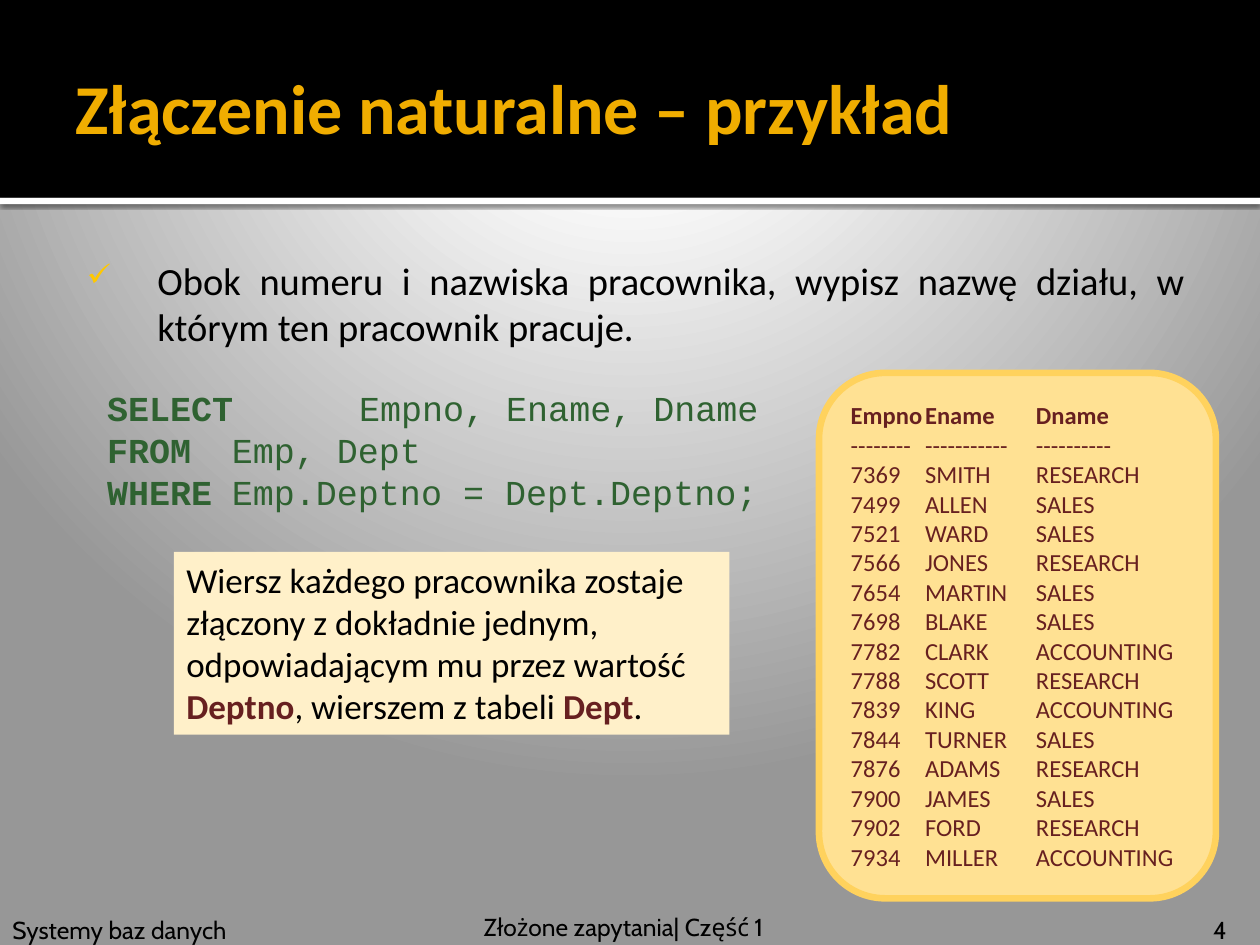
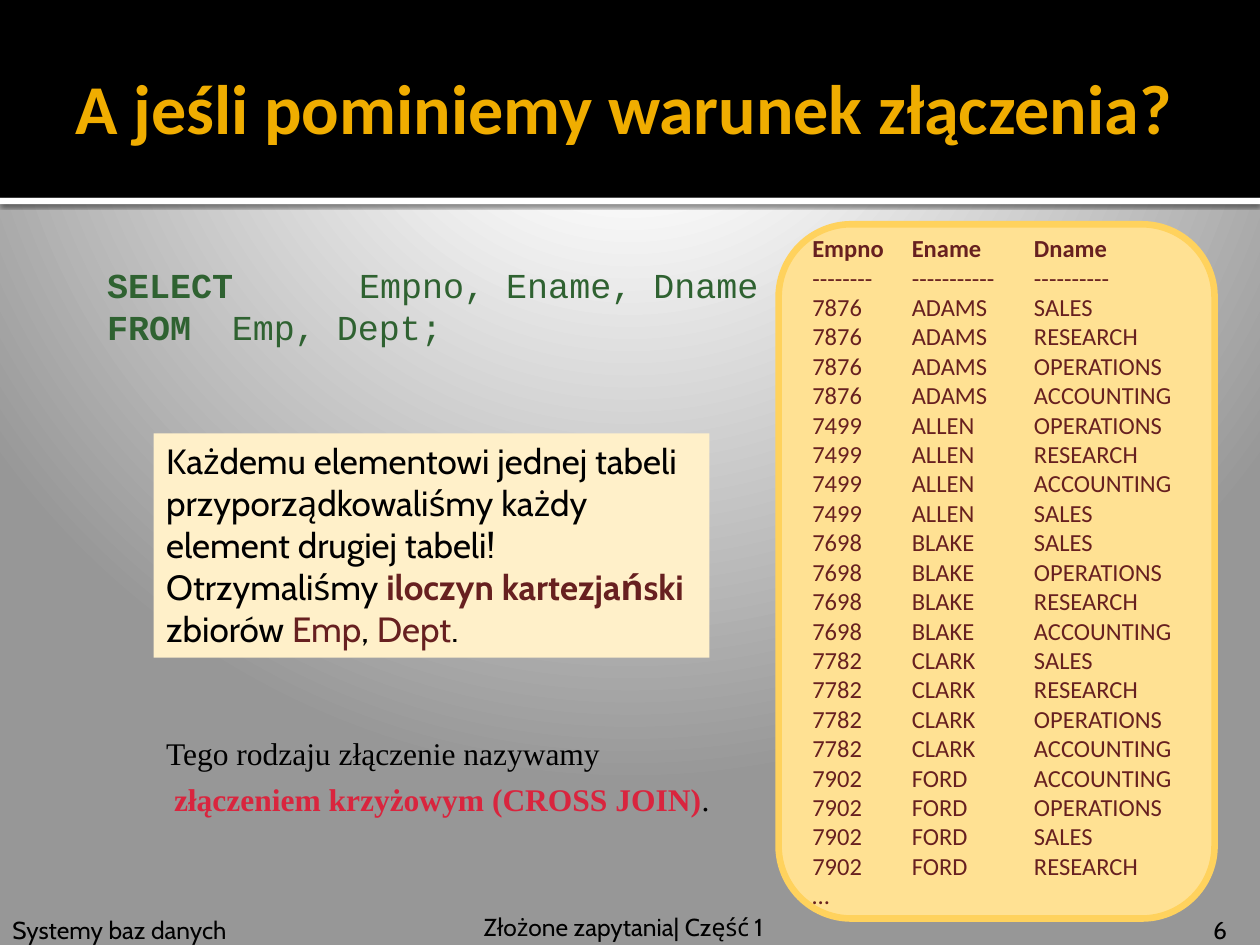
"""Build two Polish database slides on natural joins and cross joins."""
from pptx import Presentation
from pptx.dml.color import RGBColor
from pptx.enum.shapes import MSO_SHAPE as Shape
from pptx.enum.text import MSO_ANCHOR as Anchor, PP_ALIGN as Align
from pptx.oxml import parse_xml
from pptx.oxml.ns import nsdecls
from pptx.util import Inches, Pt

BLACK, WHITE, GOLD = "000000", "FFFFFF", "F0AD00"
GREEN, MAROON, RED = "2F6231", "672020", "D9253E"
CARD_FILL, CARD_LINE, NOTE_FILL = "FFE193", "FFD25D", "FFF0C9"
BODY, FOOTER, CODE, SERIF = "Calibri", "Cabin", "Courier New", "Times New Roman"

presentation = Presentation()
presentation.slide_width, presentation.slide_height = Inches(10), Inches(7.5)
CELL = presentation.slide_width // 100


def add_box(slide, area, preset=None, fill=None, line=None, anchor=Anchor.TOP):
    """Add a text box or preset shape; area is counted in grid cells."""
    area = [round(length * CELL) for length in area]
    if preset is None:
        shape = slide.shapes.add_textbox(*area)
    else:
        shape = slide.shapes.add_shape(preset, *area)
        shape.shadow.inherit = False
        shape.fill.solid()
        shape.fill.fore_color.rgb = RGBColor.from_string(fill)
        if line:
            shape.line.color.rgb = RGBColor.from_string(line)
            shape.line.width = Pt(3.78)
        else:
            shape.line.fill.background()
    shape.text_frame.word_wrap = True
    shape.text_frame.vertical_anchor = anchor
    return shape


def write(paragraph, pieces, size, font, tabs=()):
    """Write (text, colour, bold) pieces and set the left tab stops."""
    paragraph.alignment = Align.LEFT
    for text, colour, bold in pieces:
        for number, part in enumerate(text.split("\n")):
            if number:
                paragraph.add_line_break()
            if part:
                run = paragraph.add_run()
                run.text = part
                run.font.size, run.font.name, run.font.bold = Pt(size), font, bold
                run.font.color.rgb = RGBColor.from_string(colour)
    if tabs:
        stops = "".join(f'<a:tab pos="{Inches(stop)}" algn="l"/>' for stop in tabs)
        paragraph._p.get_or_add_pPr().append(
            parse_xml(f'<a:tabLst {nsdecls("a")}>{stops}</a:tabLst>'))


master = presentation.slide_master
master.background.fill.solid()
background = master.element.xpath(".//p:bgPr")[0]
stops = "".join(
    f'<a:gs pos="{share * 1000}"><a:srgbClr val="{colour}"/></a:gs>'
    for share, colour in [(0, WHITE), (20, WHITE), (100, "979797")])
background.replace(background[0], parse_xml(
    f'<a:gradFill {nsdecls("a")} rotWithShape="1"><a:gsLst>{stops}</a:gsLst>'
    '<a:path path="circle">'
    '<a:fillToRect l="10000" t="-25000" r="10000" b="125000"/>'
    '</a:path></a:gradFill>'))

join_rows = [row.split() for row in """7369 SMITH RESEARCH
7499 ALLEN SALES
7521 WARD SALES
7566 JONES RESEARCH
7654 MARTIN SALES
7698 BLAKE SALES
7782 CLARK ACCOUNTING
7788 SCOTT RESEARCH
7839 KING ACCOUNTING
7844 TURNER SALES
7876 ADAMS RESEARCH
7900 JAMES SALES
7902 FORD RESEARCH
7934 MILLER ACCOUNTING""".splitlines()]

employee_departments = [
    ("7876", "ADAMS", "SALES RESEARCH OPERATIONS ACCOUNTING"),
    ("7499", "ALLEN", "OPERATIONS RESEARCH ACCOUNTING SALES"),
    ("7698", "BLAKE", "SALES OPERATIONS RESEARCH ACCOUNTING"),
    ("7782", "CLARK", "SALES RESEARCH OPERATIONS ACCOUNTING"),
    ("7902", "FORD", "ACCOUNTING OPERATIONS SALES RESEARCH"),
]
cross_rows = [(number, name, department)
              for number, name, departments in employee_departments
              for department in departments.split()]

select = [("SELECT\t", GREEN, True), ("Empno, Ename, Dname\n", GREEN, False),
          ("FROM\t", GREEN, True)]

pages = [
    dict(number="4", title="Złączenie naturalne – przykład",
         query_top=30.7,
         query=select + [("Emp, Dept\n", GREEN, False), ("WHERE\t", GREEN, True),
                         ("Emp.Deptno = Dept.Deptno;", GREEN, False)],
         card=(65, 29.6, 31.5, 41.7), tabs=(0.59, 1.47), rows=join_rows,
         note_area=(13.8, 43.8, 44.1, 14.5), note_font=BODY,
         note=[("Wiersz każdego pracownika zostaje\nzłączony z dokładnie jednym,\n"
                "odpowiadającym mu przez wartość\n", BLACK, False),
               ("Deptno", MAROON, True), (", wierszem z tabeli ", BLACK, False),
               ("Dept", MAROON, True), (".", BLACK, False)]),
    dict(number="6", title="A jeśli pominiemy warunek złączenia?",
         query_top=20.9,
         query=select + [("Emp, Dept;", GREEN, False)],
         card=(61.8, 17.8, 34.6, 55.1), tabs=(0.79, 1.76),
         rows=cross_rows + [("…",)],
         note_area=(12.2, 34.4, 44.1, 17.8), note_font=FOOTER,
         note=[("Każdemu elementowi jednej tabeli przyporządkowaliśmy każdy "
                "element drugiej tabeli! Otrzymaliśmy ", BLACK, False),
               ("iloczyn kartezjański ", MAROON, True), ("zbiorów ", BLACK, False),
               ("Emp", MAROON, False), (", ", BLACK, False),
               ("Dept", MAROON, False), (".", BLACK, False)]),
]

slides = []
for page in pages:
    slide = presentation.slides.add_slide(presentation.slide_layouts[6])
    slides.append(slide)

    rule = add_box(slide, (0, 15.7, 100, 0.5), Shape.RECTANGLE, WHITE)
    rule.element.spPr.find(".//{*}effectLst").append(parse_xml(
        f'<a:outerShdw {nsdecls("a")} blurRad="{Pt(2.5)}" dist="{Pt(0.8)}" '
        f'dir="5400000" rotWithShape="0"><a:srgbClr val="{BLACK}">'
        '<a:alpha val="60000"/></a:srgbClr></a:outerShdw>'))
    add_box(slide, (0, 0, 100, 15.7), Shape.RECTANGLE, BLACK)

    footers = [("Systemy baz danych", (0, 72.1, 28.7, 3.4)),
               (page["number"], (95.3, 72.1, 4.7, 3.4)),
               ("Złożone zapytania| Część 1", (37.4, 71.9, 28.3, 3.4))]
    for text, area in footers:
        footer = add_box(slide, area)
        write(footer.text_frame.paragraphs[0], [(text, BLACK, False)], 14, FOOTER)

    title = add_box(slide, (5, 4.6, 90, 7.7), anchor=Anchor.MIDDLE)
    title.text_frame.margin_right = Inches(0.05)
    write(title.text_frame.paragraphs[0], [(page["title"], GOLD, True)], 40, BODY)

    query = add_box(slide, (8.5, page["query_top"], 56, 10))
    query.text_frame.margin_left = query.text_frame.margin_top = 0
    paragraph = query.text_frame.paragraphs[0]
    paragraph.line_spacing = Pt(24)
    write(paragraph, page["query"], 20, CODE, (0.99, 2))

    card = add_box(slide, page["card"], Shape.ROUNDED_RECTANGLE,
                   CARD_FILL, CARD_LINE, Anchor.MIDDLE)
    header = [("Empno", "Ename", "Dname"), ("-" * 8, "-" * 11, "-" * 10)]
    for index, row in enumerate(header + page["rows"]):
        frame = card.text_frame
        paragraph = frame.add_paragraph() if index else frame.paragraphs[0]
        write(paragraph, [("\t".join(row), MAROON, index == 0)], 14, BODY, page["tabs"])

    note = add_box(slide, page["note_area"], Shape.RECTANGLE, NOTE_FILL)
    write(note.text_frame.paragraphs[0], page["note"], 20, page["note_font"])

join_slide, cross_slide = slides

task = add_box(join_slide, (5, 19.4, 90, 9.5))
task.text_frame.margin_left, task.text_frame.margin_top = Inches(0.06), Inches(0.1)
paragraph = task.text_frame.paragraphs[0]
write(paragraph, [("Obok numeru i nazwiska pracownika, wypisz nazwę działu, "
                   "w którym ten pracownik pracuje.", BLACK, False)], 22, BODY)
paragraph.alignment = Align.JUSTIFY
properties = paragraph._p.get_or_add_pPr()
properties.set("marL", str(Inches(0.69)))
properties.set("indent", str(Inches(-0.56)))
for bullet in ('buClr {}><a:srgbClr val="FFC800"/></a:buClr>',
               'buSzPct {} val="80000"/>', 'buChar {} char="✓"/>'):
    properties.append(parse_xml("<a:" + bullet.format(nsdecls("a"))))

summary = add_box(cross_slide, (12.2, 57.2, 46.9, 8.3))
paragraph = summary.text_frame.paragraphs[0]
paragraph.line_spacing, paragraph.space_before = 1.2, Pt(6)
write(paragraph, [("Tego rodzaju złączenie nazywamy\n ", BLACK, False),
                  ("złączeniem krzyżowym (CROSS JOIN)", RED, True),
                  (".", BLACK, False)], 18, SERIF)

presentation.save("out.pptx")
